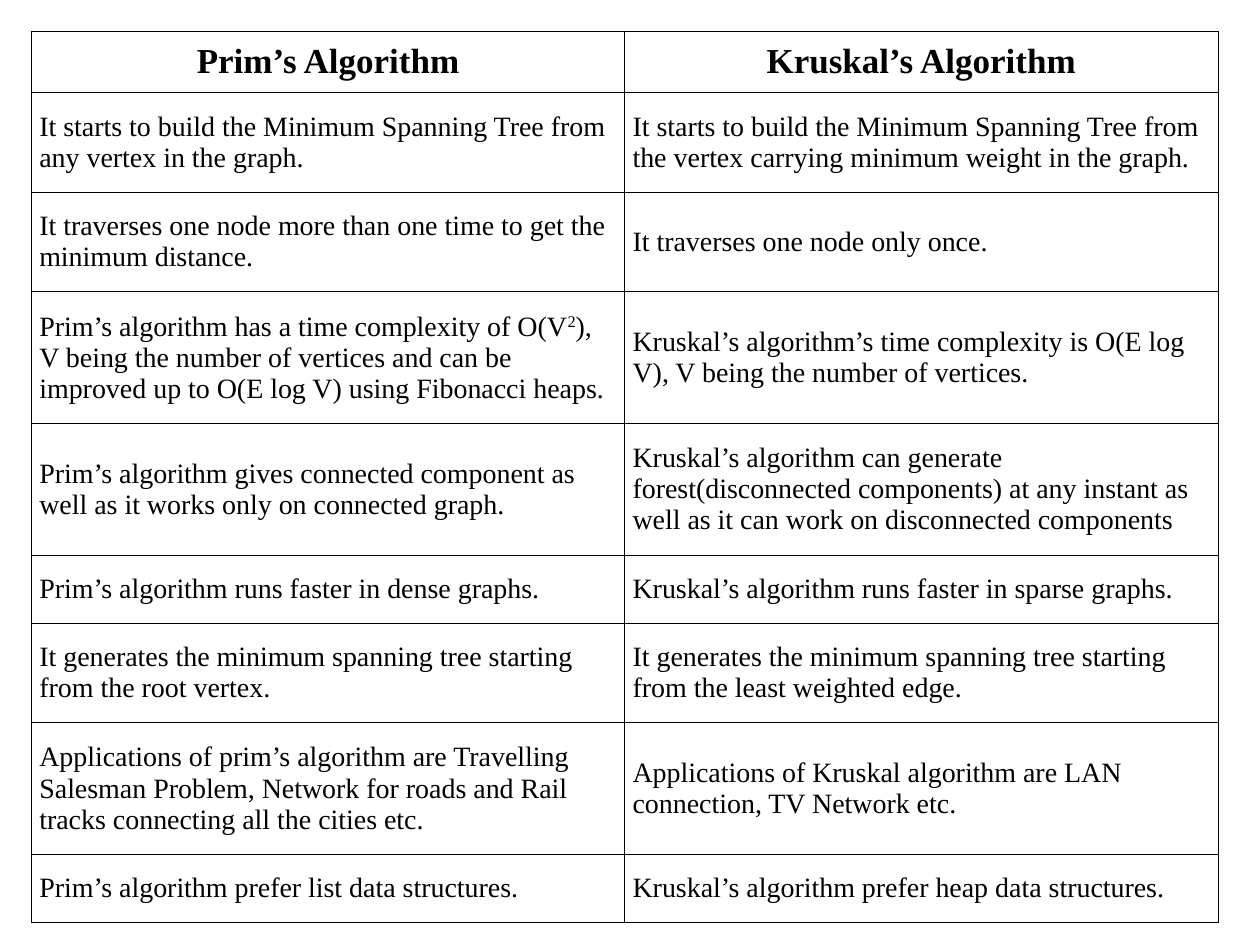
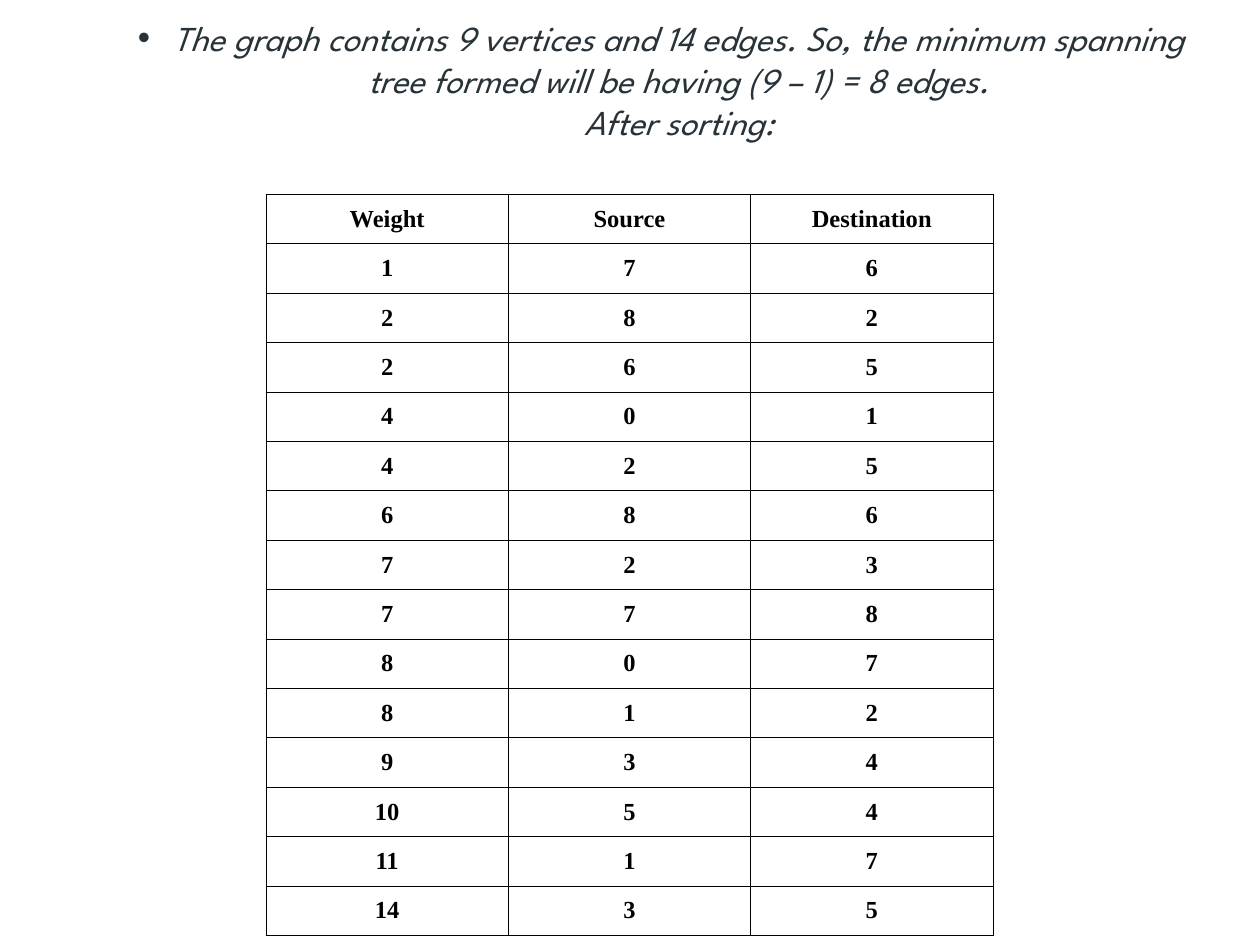
from pptx import Presentation
from pptx.dml.color import RGBColor
from pptx.enum.text import MSO_ANCHOR, MSO_AUTO_SIZE, PP_ALIGN
from pptx.oxml import parse_xml
from pptx.oxml.ns import nsdecls
from pptx.util import Pt

LEFT, CENTER = PP_ALIGN.LEFT, PP_ALIGN.CENTER
MIDDLE, TOP = MSO_ANCHOR.MIDDLE, MSO_ANCHOR.TOP
FIT_SHAPE = MSO_AUTO_SIZE.SHAPE_TO_FIT_TEXT
CONTENT_LAYOUT, BLANK_LAYOUT = 1, 6

# Wording; carets enclose superscript
ALGORITHMS = [
    ("Prim’s Algorithm", "Kruskal’s Algorithm"),
    ("It starts to build the Minimum Spanning Tree from any vertex in the graph.",
     "It starts to build the Minimum Spanning Tree from the vertex carrying "
     "minimum weight in the graph."),
    ("It traverses one node more than one time to get the minimum distance.",
     "It traverses one node only once."),
    ("Prim’s algorithm has a time complexity of O(V^2^), V being the number of "
     "vertices and can be improved up to O(E log V) using Fibonacci heaps.",
     "Kruskal’s algorithm’s time complexity is O(E log V), V being the number "
     "of vertices."),
    ("Prim’s algorithm gives connected component as well as it works only on "
     "connected graph.",
     "Kruskal’s algorithm can generate forest(disconnected components) at any "
     "instant as well as it can work on disconnected components"),
    ("Prim’s algorithm runs faster in dense graphs.",
     "Kruskal’s algorithm runs faster in sparse graphs."),
    ("It generates the minimum spanning tree starting from the root vertex.",
     "It generates the minimum spanning tree starting from the least weighted edge."),
    ("Applications of prim’s algorithm are Travelling Salesman Problem, Network "
     "for roads and Rail tracks connecting all the cities etc.",
     "Applications of Kruskal algorithm are LAN connection, TV Network etc."),
    ("Prim’s algorithm prefer list data structures.",
     "Kruskal’s algorithm prefer heap data structures."),
]
LINES_PER_ROW = [2, 2, 3, 3, 1, 2, 3, 1]

EDGES = [
    ("Weight", "Source", "Destination"),
    (1, 7, 6), (2, 8, 2), (2, 6, 5), (4, 0, 1), (4, 2, 5), (6, 8, 6), (7, 2, 3),
    (7, 7, 8), (8, 0, 7), (8, 1, 2), (9, 3, 4), (10, 5, 4), (11, 1, 7), (14, 3, 5),
]


def color(value):
    return RGBColor.from_string(value)


class SlideBuilder:
    """Holds the shared style and the slide being filled."""

    TABLE_FONT, LIST_FONT = "Times New Roman", "League Spartan"
    BLACK, WHITE, SLATE = "000000", "FFFFFF", "273239"
    BORDER = Pt(0.45)

    def __init__(self):
        self.deck = Presentation()
        self.deck.slide_width, self.deck.slide_height = Pt(720), Pt(540)
        self.page = None

    def new_page(self, layout):
        self.page = self.deck.slides.add_slide(self.deck.slide_layouts[layout])

    def set_font(self, para, name, size, shade, bold=False, italic=False):
        font = para.font
        font.name, font.size = name, Pt(size)
        font.bold, font.italic = bold, italic
        font.color.rgb = color(shade)

    def bullet(self, text, left, top, width, height, indent=20):
        """Put one centred bullet in the body placeholder."""
        title = self.page.shapes.title
        title.element.getparent().remove(title.element)
        box = self.page.placeholders[1]
        box.left, box.top, box.width, box.height = map(Pt, (left, top, width, height))
        frame = box.text_frame
        frame.auto_size, frame.vertical_anchor = FIT_SHAPE, TOP
        frame.word_wrap = True
        frame.text = text
        para = frame.paragraphs[0]
        para.alignment = CENTER
        para.space_before = Pt(0)
        properties = para._p.get_or_add_pPr()
        properties.set("marL", str(Pt(indent)))
        properties.set("indent", str(-Pt(indent)))
        for xml in (f'<a:buClr {nsdecls("a")}><a:srgbClr val="{self.SLATE}"/></a:buClr>',
                    f'<a:buChar {nsdecls("a")} char="•"/>'):
            properties.append(parse_xml(xml))
        self.set_font(para, self.LIST_FONT, 20, self.SLATE, italic=True)

    def table(self, rows, left, top, column_width, heights,
              header_size, body_size, body_bold, body_align, fill=None):
        """Add a bordered table whose first row is a bold, centred header."""
        column_count = len(rows[0])
        grid = self.page.shapes.add_table(
            len(rows), column_count, Pt(left), Pt(top),
            Pt(column_width * column_count), Pt(sum(heights))).table
        grid.first_row = grid.horz_banding = False
        for column in grid.columns:
            column.width = Pt(column_width)
        for index, (values, height) in enumerate(zip(rows, heights)):
            grid.rows[index].height = Pt(height)
            header = index == 0
            for column, value in enumerate(values):
                cell = grid.cell(index, column)
                self.style_cell(cell, fill)
                para = cell.text_frame.paragraphs[0]
                para.alignment = CENTER if header else body_align
                self.set_font(para, self.TABLE_FONT,
                              header_size if header else body_size,
                              self.BLACK, bold=header or body_bold)
                self.add_spans(para, str(value))

    def add_spans(self, para, text):
        for position, part in enumerate(text.split("^")):
            span = para.add_run()
            span.text = part
            if position % 2:
                span._r.get_or_add_rPr().set("baseline", "30000")

    def style_cell(self, cell, fill):
        cell.vertical_anchor = MIDDLE
        cell.margin_left = cell.margin_right = Pt(4.5)
        cell.margin_top = cell.margin_bottom = Pt(3.6)
        properties = cell._tc.get_or_add_tcPr()
        for side in "LRTB":
            properties.append(parse_xml(
                f'<a:ln{side} {nsdecls("a")} w="{self.BORDER}"><a:solidFill>'
                f'<a:srgbClr val="{self.BLACK}"/></a:solidFill></a:ln{side}>'))
        if fill:
            cell.fill.solid()
            cell.fill.fore_color.rgb = color(fill)
        else:
            cell.fill.background()


def main():
    builder = SlideBuilder()

    # Comparison of the two algorithms
    builder.new_page(BLANK_LAYOUT)
    heights = [34.8] + [20.4 + 18.3 * lines for lines in LINES_PER_ROW]
    builder.table(ALGORITHMS, 18, 18, 339, heights, header_size=20, body_size=16,
                  body_bold=False, body_align=LEFT, fill=builder.WHITE)

    # Edges sorted by weight
    builder.new_page(CONTENT_LAYOUT)
    builder.bullet("The graph contains 9 vertices and 14 edges. So, the minimum "
                   "spanning tree formed will be having (9 – 1) = 8 edges."
                   "\vAfter sorting:", 60, 6, 636, 79)
    builder.table(EDGES, 152, 111, 138.5, [28.25] * len(EDGES), header_size=14,
                  body_size=14, body_bold=True, body_align=CENTER)

    builder.deck.save("out.pptx")


if __name__ == "__main__":
    main()
